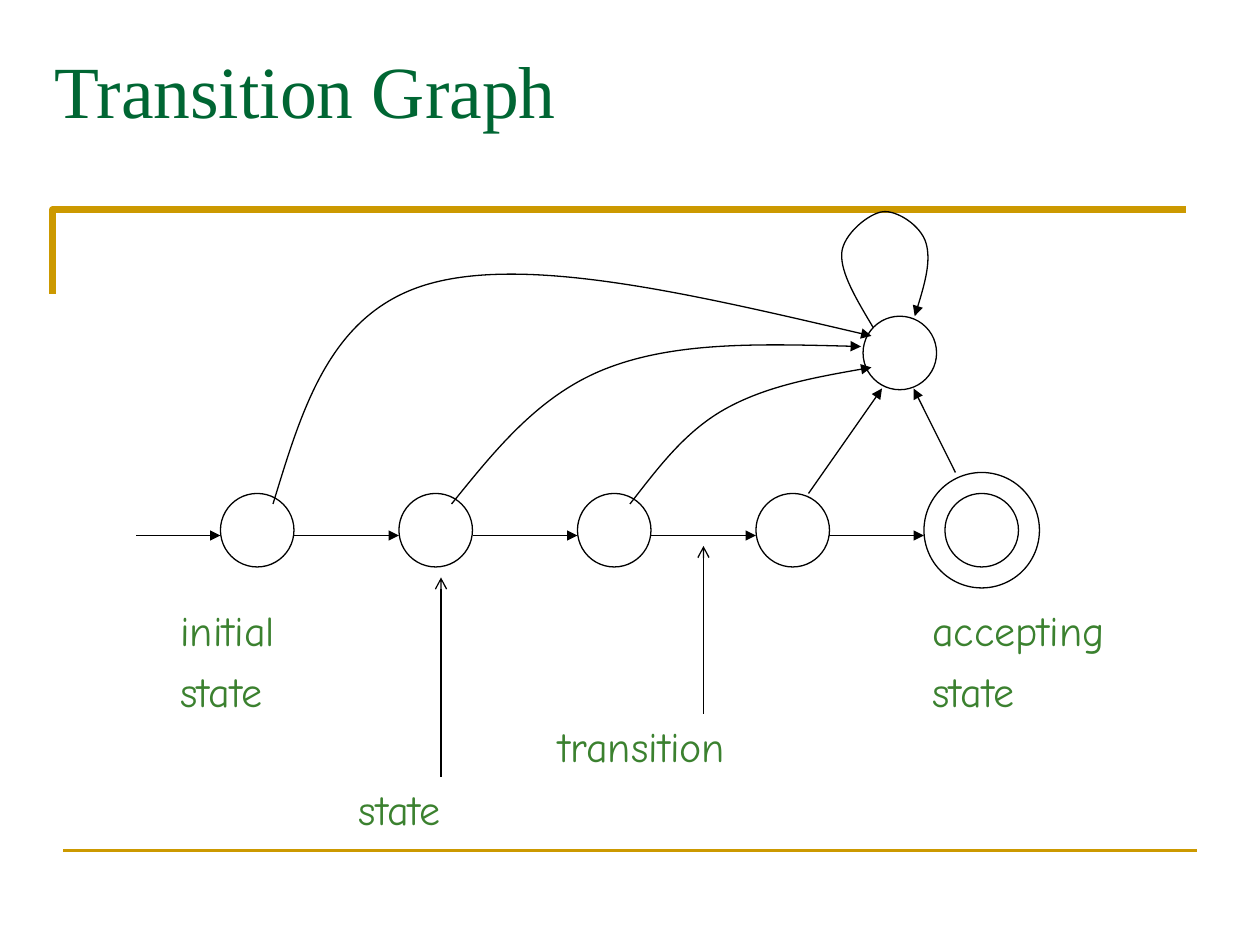
import pptx
import pptx.util
import pptx.dml.color
import pptx.enum.shapes
import pptx.enum.text
import pptx.oxml.ns
import lxml.etree

Pt = pptx.util.Pt
qn = pptx.oxml.ns.qn
hues = {"gold": "CC9900", "title": "006633", "label": "3B812F", "ink": "000000"}

deck = pptx.Presentation()
deck.slide_width, deck.slide_height = Pt(720), Pt(540)
slide = deck.slides.add_slide(deck.slide_layouts[6])
shapes = slide.shapes


def stroke(shape, hue="ink", width=0.75, tip=None):
    shape.line.width = Pt(width)
    shape.line.color.rgb = pptx.dml.color.RGBColor.from_string(hues[hue])
    props = shape.element.spPr
    if tip:
        lxml.etree.SubElement(props.find(qn("a:ln")), qn("a:tailEnd"), type=tip)
    lxml.etree.SubElement(props, qn("a:effectLst"))


def write(text, left, top, width, height, font, size, hue, inset=7.2):
    box = shapes.add_textbox(Pt(left), Pt(top), Pt(width), Pt(height))
    frame = box.text_frame
    frame.word_wrap = True
    frame.margin_left = Pt(inset)
    frame.text = text
    for row, para in enumerate(frame.paragraphs):
        if row:
            para.space_before = Pt(6)
        para.font.name = font
        para.font.size = Pt(size)
        para.font.color.rgb = pptx.dml.color.RGBColor.from_string(hues[hue])
    return frame


frame = shapes.build_freeform(Pt(30), Pt(168))
frame.add_line_segments([(Pt(30), Pt(120)), (Pt(678), Pt(120))], close=False)
border = frame.convert_to_shape()
border.fill.background()
stroke(border, "gold", 4)

title = write("Transition Graph", 24, 18, 684, 66, "Times New Roman", 42, "title")
title.vertical_anchor = pptx.enum.text.MSO_ANCHOR.MIDDLE

labels = [
    ("initial\nstate", 96, 342, 99, 91.4, 7.2),
    ("accepting\nstate", 510, 342, 175.7, 91.4, 22.8),
    ("state", 198, 444, 94.3, 45.4, 7.2),
    ("transition", 312, 408, 160.6, 45.4, 7.2),
]
for text, left, top, width, height, inset in labels:
    write(text, left, top, width, height, "Comic Neue", 24, "label", inset)

size = 42
lefts = [126, 228, 330, 432]
rings = [(left, 282, size) for left in lefts]
rings += [(540, 282, size), (528, 270, 66), (493.2, 180.7, size)]
for left, top, side in rings:
    ring = shapes.add_shape(
        pptx.enum.shapes.MSO_SHAPE.OVAL, Pt(left), Pt(top), Pt(side), Pt(side))
    ring.fill.background()
    stroke(ring)

starts = [78] + [left + size for left in lefts]
lines = [(x, 306, end, 306, "ink", 0.75, "triangle")
         for x, end in zip(starts, lefts + [528])]
lines += [
    (36, 486, 684, 486, "gold", 2, None),
    (252, 444, 252, 330, "ink", 0.75, "arrow"),
    (402, 408, 402, 312, "ink", 0.75, "arrow"),
    (462, 282, 504, 222, "ink", 0.75, "triangle"),
    (546, 270, 522, 222, "ink", 0.75, "triangle"),
]
for x, y, end, base, hue, width, tip in lines:
    line = shapes.add_connector(
        pptx.enum.shapes.MSO_CONNECTOR.STRAIGHT, Pt(x), Pt(y), Pt(end), Pt(base))
    stroke(line, hue, width, tip)

curves = [
    [(499, 187.2), (489.6, 171.4), (480.2, 156), (481, 144.7),
     (481.7, 133.9), (496.8, 121.7), (504.7, 121),
     (512.6, 120.2), (526.3, 128.9), (529.2, 139),
     (532.1, 149), (527.8, 164.9), (522.7, 180.7)],
    [(360, 288), (375.8, 267.8), (391, 247), (414, 234),
     (437, 221), (467.3, 215.3), (498, 210)],
    [(258, 288), (283.7, 256.3), (308.9, 224.6), (348, 210),
     (387.4, 195.1), (439.2, 196.6), (492, 198)],
    [(156, 288), (172.8, 233.3), (188.6, 177.8), (246, 162),
     (303.1, 146.2), (400.3, 169.2), (498, 192)],
]
for points in curves:
    spots = [(Pt(x), Pt(y)) for x, y in points]
    draft = shapes.build_freeform(*spots[0])
    draft.add_line_segments(spots[1:], close=False)
    curve = draft.convert_to_shape()
    steps = list(curve.element.iter(qn("a:lnTo")))
    for i in range(0, len(steps), 3):
        bend = lxml.etree.SubElement(steps[i].getparent(), qn("a:cubicBezTo"))
        for step in steps[i:i + 3]:
            bend.append(step[0])
            step.getparent().remove(step)
    curve.fill.background()
    stroke(curve, tip="triangle")

deck.save("out.pptx")
